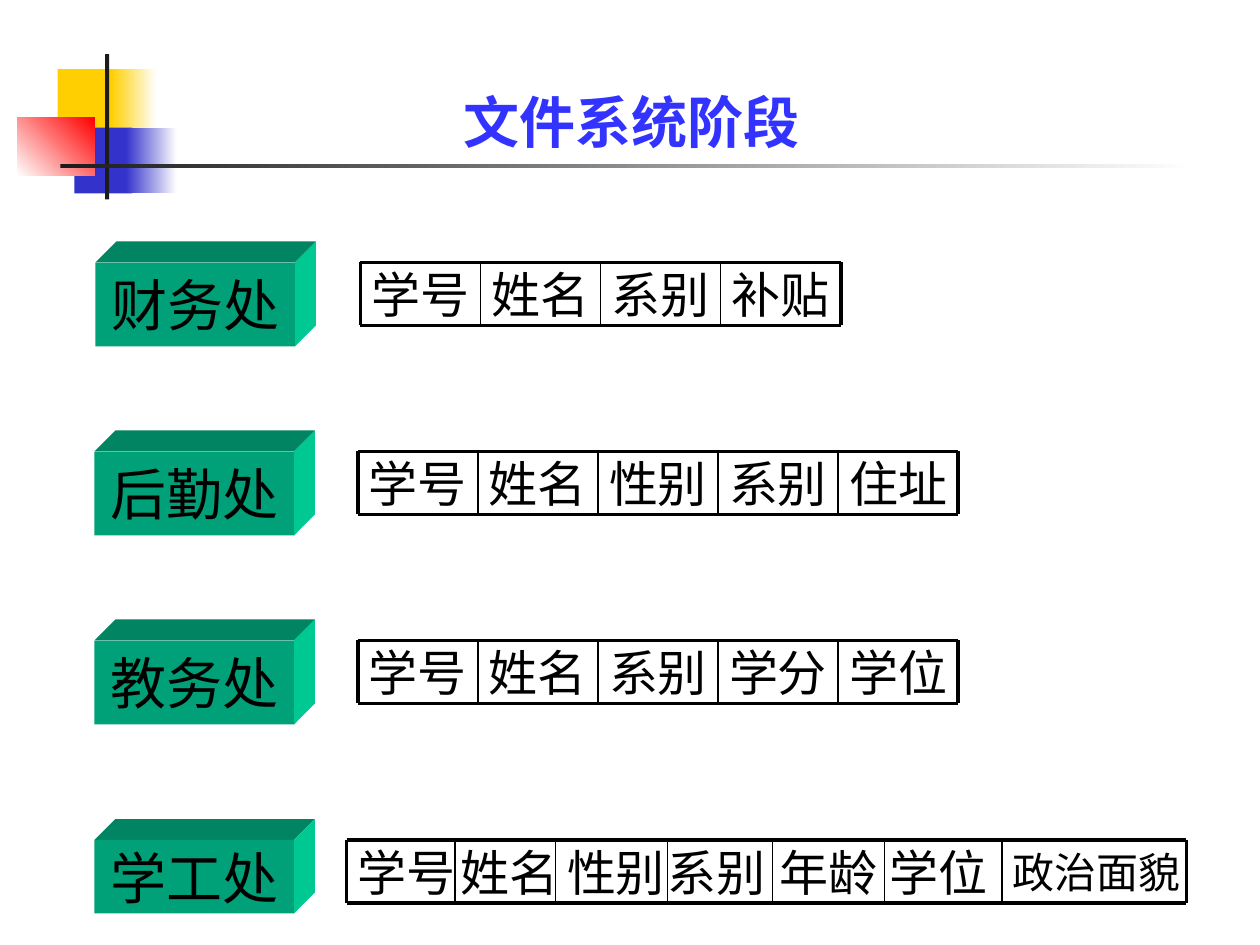
import pptx
import pptx.util
import pptx.dml.color
import pptx.enum.shapes
import pptx.enum.text
from pptx.oxml.ns import qn
from lxml import etree

Pt = pptx.util.Pt
Color = pptx.dml.color.RGBColor.from_string
Anchor = pptx.enum.text.MSO_ANCHOR
RECTANGLE = pptx.enum.shapes.MSO_SHAPE.RECTANGLE
STRAIGHT = pptx.enum.shapes.MSO_CONNECTOR.STRAIGHT

COLORS = {
    "yellow": "FFCF01", "blue": "3333CC", "red": "FF0000", "dark": "1C1C1C",
    "white": "FFFFFF", "title": "3333FF", "black": "000000",
    "front": "00A078", "top": "008462", "side": "00C892",
}

presentation = pptx.Presentation()
presentation.slide_width = Pt(720)
presentation.slide_height = Pt(540)
slide = presentation.slides.add_slide(presentation.slide_layouts[5])


def write(shape, text, size=28, color="black", bold=False, anchor=Anchor.MIDDLE,
          wrap=False, margin=0):
    frame = shape.text_frame
    frame.word_wrap = wrap
    frame.auto_size = pptx.enum.text.MSO_AUTO_SIZE.NONE
    frame.vertical_anchor = anchor
    frame.margin_left = frame.margin_right = Pt(margin)
    frame.margin_top = frame.margin_bottom = Pt(margin / 2)
    paragraph = frame.paragraphs[0]
    paragraph.text = text
    paragraph.alignment = pptx.enum.text.PP_ALIGN.CENTER
    paragraph.font.name = "Lato"
    paragraph.font.size = Pt(size)
    paragraph.font.bold = bold
    paragraph.font.color.rgb = Color(COLORS[color])


def paint(shape, *colors, angle=0):
    """Fill with one colour, or with a gradient between two; no outline or shadow."""
    shape.shadow.inherit = False
    shape.line.fill.background()
    if len(colors) == 1:
        shape.fill.solid()
        shape.fill.fore_color.rgb = Color(COLORS[colors[0]])
        return
    shape.fill.gradient()
    shape.fill.gradient_angle = angle
    for stop, color in zip(shape.fill.gradient_stops, colors):
        stop.color.rgb = Color(COLORS[color])


# Corner ornament and title rule: left, top, width, height, colours, angle
ornament = [
    (33, 39.5, 34.5, 37.5, ["yellow"], 0),
    (63.5, 39.5, 26, 37.5, ["yellow", "white"], 0),
    (42.5, 73, 33, 37.5, ["blue"], 0),
    (72, 73, 29, 37.5, ["blue", "white"], 0),
    (10, 67, 44, 33.5, ["white", "red"], 45),
    (60, 31, 2.4, 83, ["dark"], 0),
    (34.5, 93.5, 648, 2.4, ["dark", "white"], 0),
]
for left, top, width, height, colors, angle in ornament:
    part = slide.shapes.add_shape(RECTANGLE, Pt(left), Pt(top), Pt(width), Pt(height))
    paint(part, *colors, angle=angle)

title = slide.shapes.title
title.left, title.top, title.width, title.height = Pt(54), Pt(30), Pt(613.5), Pt(62)
write(title, "文件系统阶段", size=32, color="title", bold=True,
      anchor=Anchor.BOTTOM, wrap=True, margin=7.2)

# Each office: name, block left, block height, top, field edges, fields
FIELD_WIDTH = 68.6
RECORD_HEIGHT = 36
BLOCK_WIDTH = 114
DEPTH = 12
offices = [
    ("财务处", 54.5, 48, 150, [206 + FIELD_WIDTH * i for i in range(5)],
     ["学号", "姓名", "系别", "补贴"]),
    ("后勤处", 54, 48, 258, [204.5 + FIELD_WIDTH * i for i in range(6)],
     ["学号", "姓名", "性别", "系别", "住址"]),
    ("教务处", 54, 48, 366, [204.5 + FIELD_WIDTH * i for i in range(6)],
     ["学号", "姓名", "系别", "学分", "学位"]),
    ("学工处", 54, 42, 480, [198, 260, 317.5, 381.5, 441.5, 505.5, 572.5, 678],
     ["学号", "姓名", "性别", "系别", "年龄", "学位", "政治面貌"]),
]
# Fields of the last record that do not fill their cell exactly: left, width
shifted_fields = {
    (480, 0): (198, 68.5), (480, 1): (260, 62), (480, 2): (322.5, 59),
    (480, 3): (378, 62.5), (480, 5): (505.5, 62), (480, 6): (572.5, 108.5),
}

for name, left, height, top, edges, fields in offices:
    for i, field in enumerate(fields):
        cell = (edges[i], edges[i + 1] - edges[i])
        field_left, field_width = shifted_fields.get((top, i), cell)
        box = slide.shapes.add_textbox(Pt(field_left), Pt(top), Pt(field_width), Pt(RECORD_HEIGHT))
        write(box, field, size=24 if len(field) > 2 else 28)

    bottom = top + RECORD_HEIGHT
    rules = [(edges[0], y, edges[-1], y, 2.25) for y in (top, bottom)]
    rules += [(x, top, x, bottom, 2.25 if x in (edges[0], edges[-1]) else 1) for x in edges]
    for x1, y1, x2, y2, weight in rules:
        rule = slide.shapes.add_connector(STRAIGHT, Pt(x1), Pt(y1), Pt(x2), Pt(y2))
        rule.line.color.rgb = Color(COLORS["black"])
        rule.line.width = Pt(weight)
        etree.SubElement(rule._element.spPr, qn("a:effectLst"))

    right, base = left + BLOCK_WIDTH, top + height
    faces = {
        "top": [(left, top), (left + DEPTH, top - DEPTH), (right + DEPTH, top - DEPTH),
                (right, top)],
        "side": [(right, top), (right + DEPTH, top - DEPTH), (right + DEPTH, base - DEPTH),
                 (right, base)],
    }
    for color, corners in faces.items():
        points = [(Pt(x), Pt(y)) for x, y in corners]
        builder = slide.shapes.build_freeform(*points[0])
        builder.add_line_segments(points[1:], close=True)
        paint(builder.convert_to_shape(), color)
    front = slide.shapes.add_shape(RECTANGLE, Pt(left), Pt(top), Pt(BLOCK_WIDTH), Pt(height))
    paint(front, "front")
    write(front, name, size=32, margin=7.2)

presentation.save("out.pptx")
